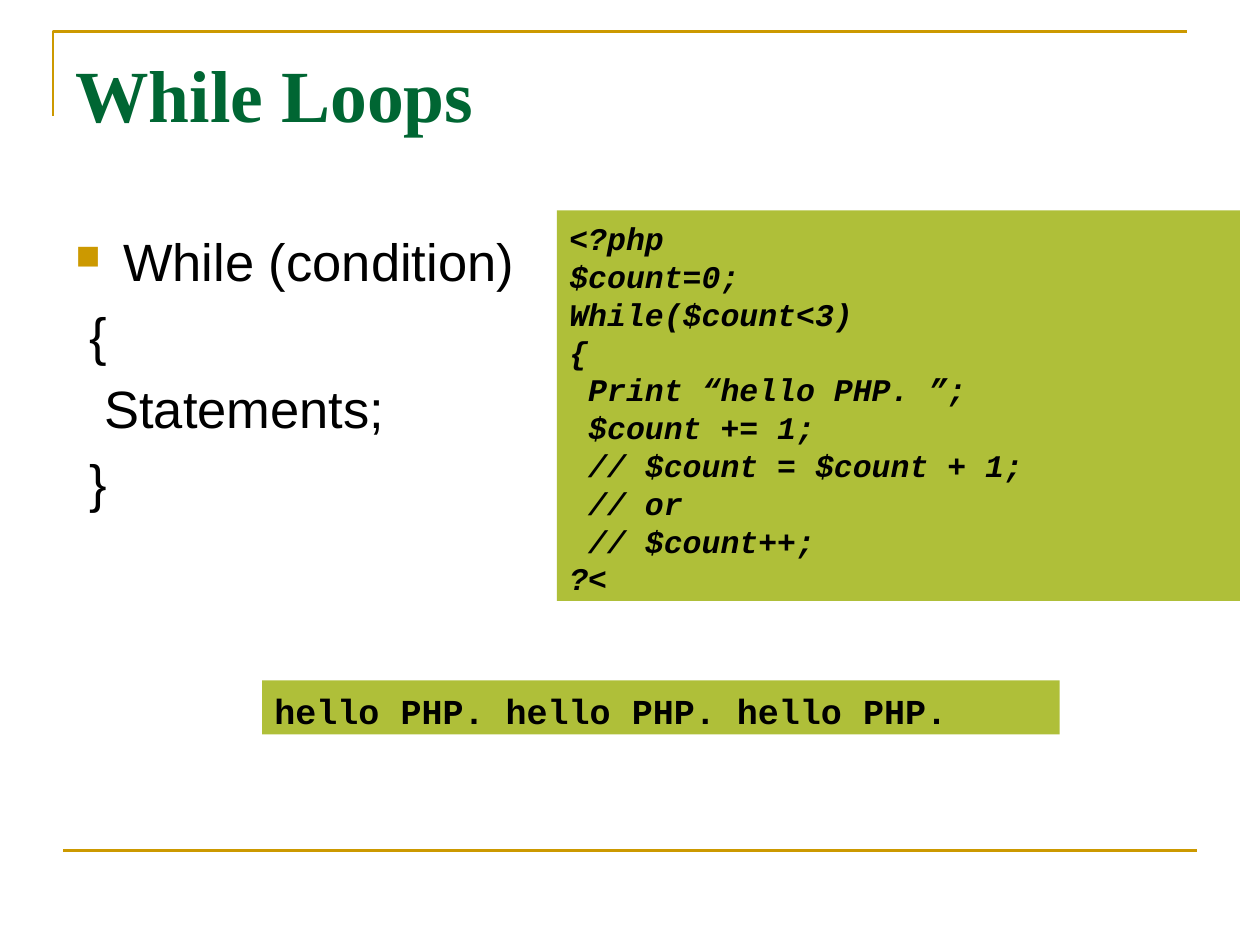
from lxml import etree
from pptx import Presentation
from pptx.dml.color import RGBColor
from pptx.enum.shapes import MSO_CONNECTOR as CONN, MSO_SHAPE as SHAPE
from pptx.enum.text import MSO_ANCHOR as ANCHOR, PP_ALIGN as ALIGN
from pptx.oxml.ns import qn
from pptx.util import Inches, Pt

GOLD, GREEN, LIME, BLACK = "CC9900", "006633", "AFBF39", "000000"

TITLE = {"name": "Times New Roman", "size": Pt(42), "bold": True}
BODY = {"name": "Arial", "size": Pt(30)}
CODE = {"name": "Courier New", "size": Pt(18), "bold": True, "italic": True}
OUTPUT = {"name": "Courier New", "size": Pt(20), "bold": True}

SYNTAX = ["While (condition)", " {", "  Statements;", " }"]
PROGRAM = """<?php
$count=0;
While($count<3)
{
 Print “hello PHP. ”;
 $count += 1;
 // $count = $count + 1;
 // or
 // $count++;
?<""".split("\n")


def color(value):
    return RGBColor.from_string(value)


class Deck:
    """Holds the line style and the slide being built."""
    leading = 1.2
    rule = Pt(1.5)

    def __init__(self, prs):
        self.s = prs.slides.add_slide(prs.slide_layouts[6])

    def line(self, x1, y1, x2, y2):
        c = self.s.shapes.add_connector(
            CONN.STRAIGHT, *map(Inches, (x1, y1, x2, y2)))
        c.line.color.rgb, c.line.width = color(GOLD), self.rule
        etree.SubElement(c._element.spPr, qn("a:effectLst"))

    def corner(self, points):
        start, *rest = [(Inches(x), Inches(y)) for x, y in points]
        fb = self.s.shapes.build_freeform(*start)
        fb.add_line_segments(rest, close=False)
        sp = fb.convert_to_shape()
        sp.shadow.inherit = False
        sp.fill.background()
        sp.line.color.rgb, sp.line.width = color(GOLD), self.rule

    def text(self, box, lines, font, ink=BLACK, top=0.07):
        sp = self.s.shapes.add_textbox(*map(Inches, box))
        return self.fill_text(sp, lines, font, ink, top)

    def panel(self, box, lines, font):
        sp = self.s.shapes.add_shape(SHAPE.RECTANGLE, *map(Inches, box))
        sp.shadow.inherit = False
        sp.fill.solid()
        sp.fill.fore_color.rgb = color(LIME)
        sp.line.fill.background()
        return self.fill_text(sp, lines, font, BLACK, 0.07)

    def fill_text(self, sp, lines, font, ink, top):
        """Fill a shape with one paragraph per line and return them."""
        tf = sp.text_frame
        tf.word_wrap = True
        tf.vertical_anchor = ANCHOR.TOP
        tf.margin_top = Inches(top)
        for i, line in enumerate(lines):
            p = tf.add_paragraph() if i else tf.paragraphs[0]
            p.alignment = ALIGN.LEFT
            p.line_spacing = Pt(font["size"].pt * self.leading)
            r = p.add_run()
            r.text = line
            for key, value in font.items():
                setattr(r.font, key, value)
            r.font.color.rgb = color(ink)
        return tf.paragraphs

    def outline(self, box, lines, font):
        """Hanging text whose first line carries a square bullet."""
        paragraphs = self.text(box, lines, font)
        for i, p in enumerate(paragraphs):
            if i:
                p.space_before = Pt(6)
            pPr = p._p.get_or_add_pPr()
            pPr.set("marL", str(Inches(0.38)))
            pPr.set("indent", str(Inches(-0.38)))
        pPr = paragraphs[0]._p.pPr
        clr = etree.SubElement(pPr, qn("a:buClr"))
        etree.SubElement(clr, qn("a:srgbClr"), val=GOLD)
        etree.SubElement(pPr, qn("a:buSzPct"), val="65000")
        etree.SubElement(pPr, qn("a:buChar"), char="■")


def main():
    prs = Presentation()
    prs.slide_width, prs.slide_height = Inches(10), Inches(7.5)
    deck = Deck(prs)
    deck.corner([(0.42, 0.92), (0.42, 0.25), (9.42, 0.25)])
    deck.line(0.5, 6.75, 9.5, 6.75)
    deck.text((0.5, 0.3, 9, 1.25), ["While Loops"], TITLE, GREEN, top=0.09)
    deck.outline((0.5, 1.75, 9, 4.95), SYNTAX, BODY)
    deck.panel((4.42, 1.67, 5.42, 3.1), PROGRAM, CODE)
    deck.panel((2.08, 5.4, 6.33, 0.43),
               ["hello PHP. hello PHP. hello PHP."], OUTPUT)
    prs.save("out.pptx")


if __name__ == "__main__":
    main()
